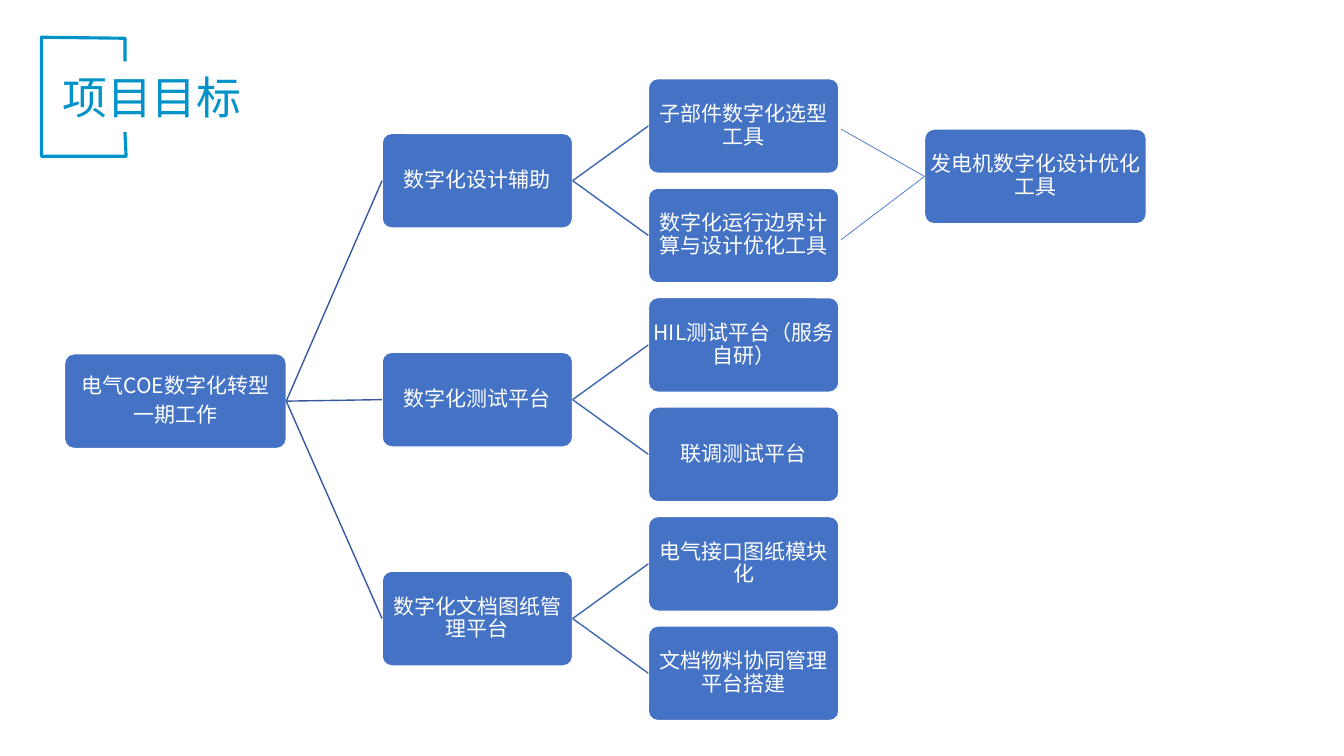
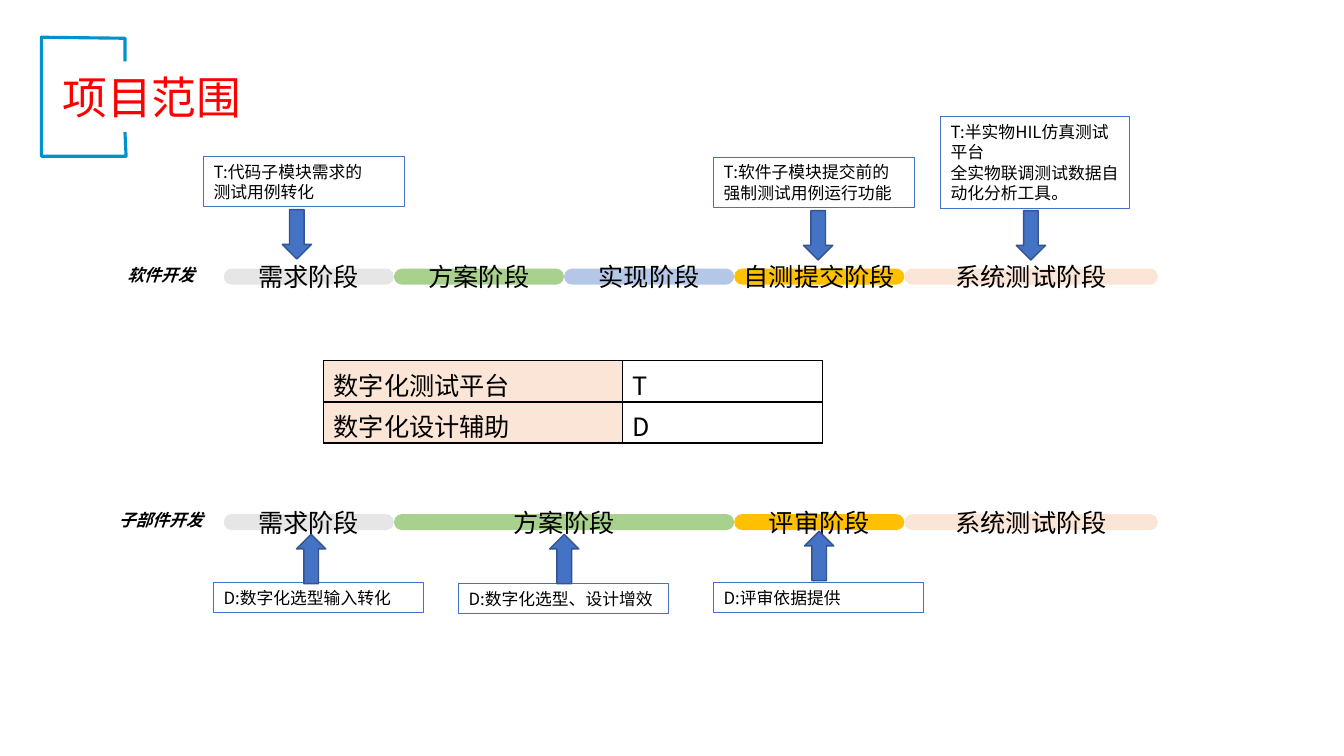
"""Build two project slides: a goal tree and a scope map."""
from dataclasses import dataclass
from typing import Any

from lxml.etree import SubElement
from pptx import Presentation
from pptx.dml.color import RGBColor
from pptx.enum.shapes import MSO_CONNECTOR, MSO_SHAPE
from pptx.enum.text import MSO_ANCHOR, PP_ALIGN
from pptx.oxml import parse_xml
from pptx.oxml.ns import nsdecls, qn
from pptx.util import Emu, Inches, Pt

WIDE, HIGH = Inches(13.33), Inches(7.5)
NOTO, ARIAL = "Noto Sans CJK SC", "Arial"
HUES = {
    "brand": "0093CA", "red": "FF0000", "blue": "4472C4", "edge": "325491",
    "stem": "365B9D", "twig": "3E67B2", "white": "FFFFFF", "black": "000000",
    "gray": "E7E6E6", "green": "A9D18E", "sky": "B4C7E7", "gold": "FFC000",
    "peach": "FBE5D6",
}
FRAME = [(9.3, 17.47), (9.38, 20.67), (3.08, 20.67),
         (3.08, 4.93), (9.3, 5.07), (9.3, 8.13)]


@dataclass(frozen=True)
class Box:
    """Place and size in percent of the slide."""
    x: float
    y: float
    w: float
    h: float

    @property
    def left(self) -> tuple[float, float]:
        """Middle of the left side."""
        return self.x, self.y + self.h / 2

    @property
    def right(self) -> tuple[float, float]:
        """Middle of the right side."""
        return self.x + self.w, self.y + self.h / 2


@dataclass(frozen=True)
class Branch:
    """A branch of the goal tree with its leaves."""
    text: str
    leaves: tuple[str, ...]


@dataclass(frozen=True)
class Stage:
    """A stage bar with its span in columns."""
    text: str
    hue: str
    span: float = 1


@dataclass(frozen=True)
class Lane:
    """A named row of stages."""
    name: str
    y: float
    stages: tuple[Stage, ...]


@dataclass(frozen=True)
class Note:
    """A framed note and the corner of its arrow."""
    text: str
    box: Box
    tip: tuple[float, float]
    turn: int = 0


BRANCHES = (
    Branch("数字化设计辅助", ("子部件数字化选型工具", "数字化运行边界计算与设计优化工具")),
    Branch("数字化测试平台", ("HIL测试平台（服务自研）", "联调测试平台")),
    Branch("数字化文档图纸管理平台", ("电气接口图纸模块化", "文档物料协同管理平台搭建")),
)
FIRST = Stage("需求阶段", "gray")
LAST = Stage("系统测试阶段", "peach", 1.49)
LANES = (
    Lane("软件开发", 35.53, (FIRST, Stage("方案阶段", "green"), Stage("实现阶段", "sky"),
                         Stage("自测提交阶段", "gold"), LAST)),
    Lane("子部件开发", 68, (FIRST, Stage("方案阶段", "green", 2),
                       Stage("评审阶段", "gold"), LAST)),
)
NOTES = (
    Note("T:代码子模块需求的\n测试用例转化", Box(15.15, 20.67, 14.93, 6.67), (21, 27.73)),
    Note("T:软件子模块提交前的强制测试用例运行功能",
         Box(53.11, 20.8, 14.93, 6.67), (59.79, 27.87)),
    Note("T:半实物HIL仿真测试平台\n全实物联调测试数据自动化分析工具。",
         Box(69.99, 15.47, 14.03, 12.13), (75.62, 27.87)),
    Note("D:数字化选型输入转化", Box(15.9, 77.07, 15.6, 4), (22.06, 70.67), 180),
    Note("D:数字化选型、设计增效", Box(34.13, 77.2, 15.6, 4), (40.89, 70.67), 180),
    Note("D:评审依据提供", Box(53.11, 77.07, 15.6, 4), (59.86, 70.27), 180),
)
KEYS = (("数字化测试平台", "T"), ("数字化设计辅助", "D"))


def across(share: float) -> Emu:
    """Turn a percent of the width into a length."""
    return Emu(round(WIDE * share / 100))


def down(share: float) -> Emu:
    """Turn a percent of the height into a length."""
    return Emu(round(HIGH * share / 100))


def place(box: Box) -> tuple[Emu, Emu, Emu, Emu]:
    """Give the lengths of a box."""
    return across(box.x), down(box.y), across(box.w), down(box.h)


def tint(hue: str) -> RGBColor:
    """Look up a colour."""
    return RGBColor.from_string(HUES[hue])


def write(frame: Any, text: str, *, size: float, font: str = NOTO, hue: str = "black",
          bold: bool = False, slant: bool = False, align: Any = PP_ALIGN.LEFT,
          anchor: Any = MSO_ANCHOR.TOP, pad: tuple[float, float] = (0.1, 0.05),
          pitch: float | None = None, after: float | None = None) -> None:
    """Fill a text frame, one paragraph a line."""
    frame.word_wrap = True
    frame.vertical_anchor = anchor
    frame.margin_left = frame.margin_right = Inches(pad[0])
    frame.margin_top = frame.margin_bottom = Inches(pad[1])
    for spot, line in enumerate(text.split("\n")):
        para = frame.add_paragraph() if spot else frame.paragraphs[0]
        para.alignment = align
        if pitch:
            para.line_spacing = pitch
        if after:
            para.space_after = Pt(after)
        run = para.add_run()
        run.text = line
        run.font.size, run.font.bold, run.font.italic = Pt(size), bold, slant
        run.font.color.rgb = tint(hue)
        run.font.name = font
        SubElement(run._r.get_or_add_rPr(), qn("a:ea")).set("typeface", NOTO)


def paint(shape: Any, fill: str | None, line: str | None, width: float) -> None:
    """Set the fill and line of a shape and drop its shadow."""
    shape.shadow.inherit = False
    if fill:
        shape.fill.solid()
        shape.fill.fore_color.rgb = tint(fill)
    else:
        shape.fill.background()
    if line:
        shape.line.color.rgb = tint(line)
        shape.line.width = Pt(width)
    else:
        shape.line.fill.background()


def draw(slide: Any, kind: Any, box: Box, *, fill: str | None = None,
         line: str | None = None, width: float = 1, bend: float | None = None) -> Any:
    """Add a preset shape."""
    shape = slide.shapes.add_shape(kind, *place(box))
    if bend is not None:
        shape.adjustments[0] = bend
    paint(shape, fill, line, width)
    return shape


def link(slide: Any, start: tuple[float, float], end: tuple[float, float],
         hue: str, width: float = 1) -> None:
    """Join two points with a line."""
    line = slide.shapes.add_connector(
        MSO_CONNECTOR.STRAIGHT, across(start[0]), down(start[1]), across(end[0]), down(end[1]))
    line.line.color.rgb = tint(hue)
    line.line.width = Pt(width)
    SubElement(line._element.spPr, qn("a:effectLst"))


def begin(deck: Any, title: str, hue: str) -> Any:
    """Add a slide with its bracket and title."""
    slide = deck.slides.add_slide(deck.slide_layouts[6])
    dots = [(across(x), down(y)) for x, y in FRAME]
    pen = slide.shapes.build_freeform(*dots[0])
    pen.add_line_segments(dots[1:], close=False)
    paint(pen.convert_to_shape(), None, "brand", 2.25)
    head = slide.shapes.add_textbox(*place(Box(3.9, 8.53, 73.14, 8.53)))
    write(head.text_frame, title, size=32, hue=hue)
    return slide


def node(slide: Any, text: str, box: Box) -> Box:
    """Draw a tree node and give back its box."""
    shape = draw(slide, MSO_SHAPE.ROUNDED_RECTANGLE, box, fill="blue", line="white", bend=0.1)
    write(shape.text_frame, text, size=15, hue="white", align=PP_ALIGN.CENTER,
          anchor=MSO_ANCHOR.MIDDLE, pad=(0.01, 0.01), pitch=0.9, after=5)
    return box


def goals(deck: Any) -> None:
    """Draw the goal tree."""
    slide = begin(deck, "项目目标", "brand")
    top, step, tall, slim, broad = 10.4, 14.48, 12.53, 14.18, 16.5
    root = node(slide, "电气COE数字化转型\n一期工作", Box(4.8, 46.8, broad, tall))
    row = 0
    for branch in BRANCHES:
        size = len(branch.leaves)
        mid = top + (row + (size - 1) / 2) * step
        stem = node(slide, branch.text, Box(28.43, mid, slim, tall))
        link(slide, root.right, stem.left, "stem")
        for spot, text in enumerate(branch.leaves, row):
            leaf = node(slide, text, Box(48.24, top + spot * step, slim, tall))
            link(slide, stem.right, leaf.left, "twig")
        row += size
    goal = node(slide, "发电机数字化设计优化工具", Box(68.79, 17.07, broad, tall))
    for y in (17.07, 31.73):
        link(slide, (62.57, y), goal.left, "blue", 0.5)


def table(slide: Any) -> None:
    """Draw the key of the letters."""
    grid = slide.shapes.add_table(2, 2, *place(Box(24.08, 47.73, 37.13, 10.87))).table
    grid.first_row = grid.horz_banding = False
    for col, share in zip(grid.columns, (22.21, 14.93)):
        col.width = across(share)
    for r, words in enumerate(KEYS):
        for c, word in enumerate(words):
            cell = grid.cell(r, c)
            write(cell.text_frame, word, size=18)
            if c:
                cell.fill.background()
            else:
                cell.fill.solid()
                cell.fill.fore_color.rgb = tint("peach")
            for spot, side in enumerate("LRTB"):
                cell._tc.get_or_add_tcPr().insert(spot, parse_xml(
                    f'<a:ln{side} {nsdecls("a")} w="12700"><a:solidFill>'
                    f'<a:srgbClr val="{HUES["black"]}"/></a:solidFill></a:ln{side}>'))


def scope(deck: Any) -> None:
    """Draw the scope map."""
    slide = begin(deck, "项目范围", "red")
    unit = 12.66
    for lane in LANES:
        name = slide.shapes.add_textbox(*place(Box(8.03, lane.y - 1.23, 7.88, 4)))
        write(name.text_frame, lane.name, size=12, font=ARIAL, bold=True, slant=True,
              align=PP_ALIGN.CENTER, pad=(0.05, 0.05))
        x = 16.65
        for stage in lane.stages:
            wide = stage.span * unit
            bar = draw(slide, MSO_SHAPE.ROUNDED_RECTANGLE, Box(x, lane.y, wide, 2.13),
                       fill=stage.hue, bend=0.5)
            write(bar.text_frame, stage.text, size=18, font=ARIAL, align=PP_ALIGN.CENTER,
                  anchor=MSO_ANCHOR.MIDDLE, pad=(0, 0))
            x += wide
    table(slide)
    for note in NOTES:
        card = draw(slide, MSO_SHAPE.RECTANGLE, note.box, line="blue", width=0.75)
        write(card.text_frame, note.text, size=12)
        arrow = draw(slide, MSO_SHAPE.DOWN_ARROW, Box(*note.tip, 2.18, 6.53),
                     fill="blue", line="edge")
        arrow.rotation = note.turn


def main() -> None:
    """Build and save the deck."""
    deck = Presentation()
    deck.slide_width, deck.slide_height = WIDE, HIGH
    goals(deck)
    scope(deck)
    deck.save("out.pptx")


if __name__ == "__main__":
    main()
